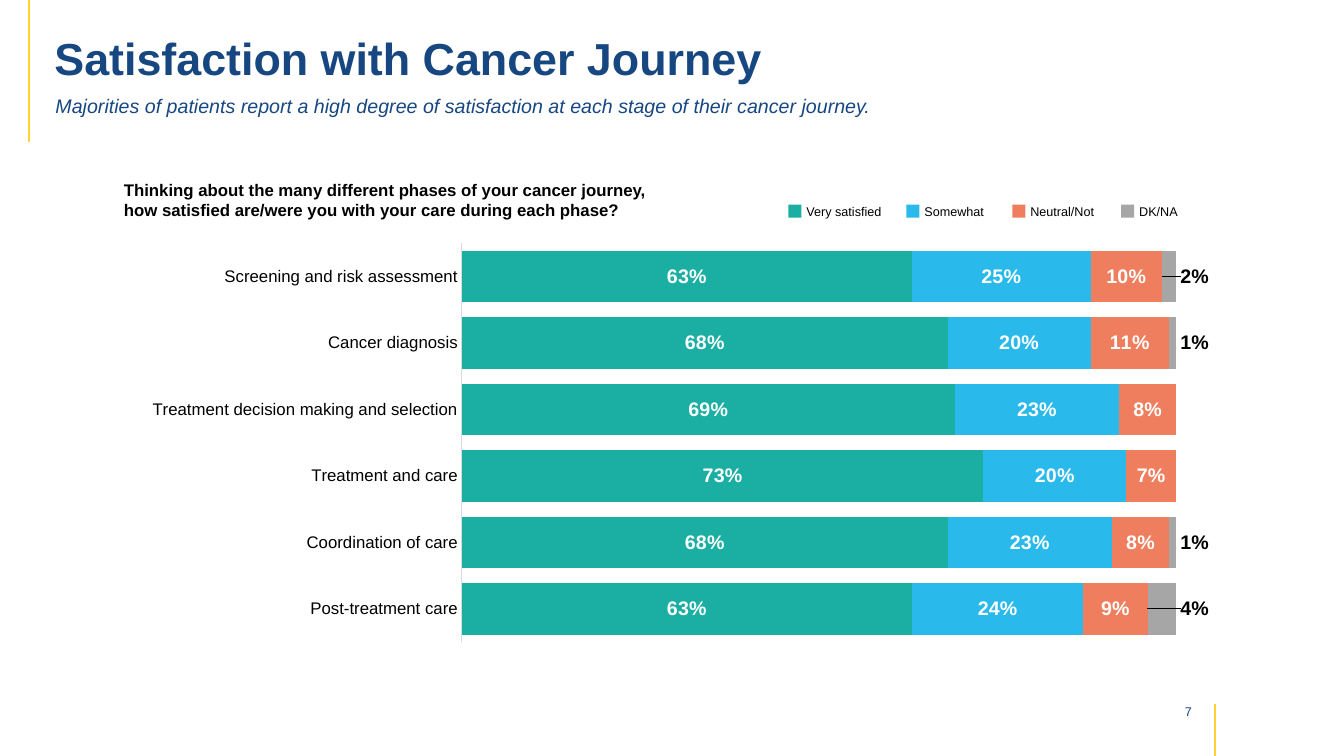
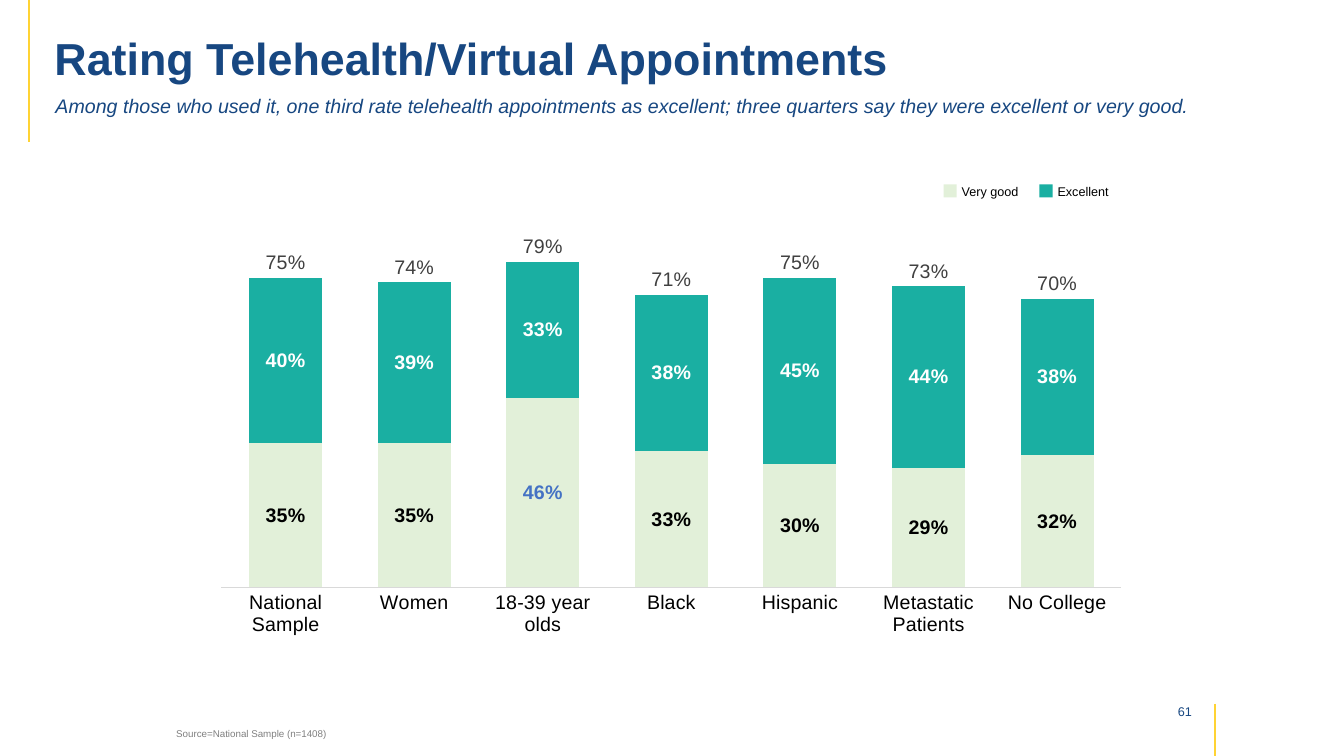
from lxml import etree
from pptx import Presentation
from pptx import util as u
from pptx.chart.data import CategoryChartData
from pptx.dml.color import RGBColor
from pptx.enum import chart as ch, shapes, text
from pptx.oxml.ns import qn

FONT = "Arial"
NAVY, YELLOW, BLACK, WHITE = "174781", "FFD334", "000000", "FFFFFF"
TEAL, SKY, CORAL, GREY, MINT = "1AAFA2", "29B9EB", "EE7E5E", "A6A6A6", "E2F0D9"
AXIS, DARK, SOURCE, BLUE = "D9D9D9", "404040", "808080", "4472C4"
INSIDE_BASE = ch.XL_LABEL_POSITION.INSIDE_BASE
CENTER = ch.XL_LABEL_POSITION.CENTER


def rgb(value):
    return RGBColor.from_string(value)


def style(font, size, color=BLACK, bold=False, italic=False):
    font.name, font.size = FONT, u.Pt(size)
    font.bold, font.italic = bold, italic
    font.color.rgb = rgb(color)


def write(tf, content, size, align=text.PP_ALIGN.LEFT, anchor=text.MSO_ANCHOR.TOP,
          before=0, spacing=1.0, **fmt):
    tf.word_wrap = True
    tf.auto_size = text.MSO_AUTO_SIZE.NONE
    tf.vertical_anchor = anchor
    p = tf.paragraphs[0]
    p.alignment, p.space_before, p.line_spacing = align, u.Pt(before), spacing
    r = p.add_run()
    r.text = content
    style(r.font, size, **fmt)
    return p


def add_layout(parent, index, **values):
    """Insert a manual chart layout; the values are fractions of the chart."""
    for old in parent.findall(qn("c:layout")):
        parent.remove(old)
    layout = etree.Element(qn("c:layout"))
    manual = etree.SubElement(layout, qn("c:manualLayout"))
    for tag, val in values.items():
        etree.SubElement(manual, qn("c:" + tag)).set("val", str(val))
    parent.insert(index, layout)


class Deck:
    def __init__(self):
        self.prs = Presentation()
        self.prs.slide_width, self.prs.slide_height = u.Inches(13.33), u.Inches(7.5)
        self.s = None

    def slide(self, title, subtitle, number):
        self.s = self.prs.slides.add_slide(self.prs.slide_layouts[1])
        # Yellow rules and page number
        self.rule(0.29, 0, 1.41)
        self.rule(12.05, 6.98, 7.5)
        self.label(11.33, 6.93, 0.59, 0.25, number, 9, color=NAVY,
                   align=text.PP_ALIGN.RIGHT)
        # Title and subtitle
        head, body = self.s.shapes.title, self.s.placeholders[1]
        self.place(head, 0.44, 0.23, 12.39, 0.76)
        write(head.text_frame, title, 32, color=NAVY, bold=True, spacing=0.9,
              anchor=text.MSO_ANCHOR.MIDDLE)
        self.place(body, 0.45, 0.88, 12.35, 0.5)
        p = write(body.text_frame, subtitle, 14, color=NAVY, italic=True, before=10)
        pPr = p._p.get_or_add_pPr()
        pPr.set("marL", "0")
        pPr.set("indent", "0")
        etree.SubElement(pPr, qn("a:buNone"))

    def place(self, sp, x, y, w, h):
        sp.left, sp.top, sp.width, sp.height = map(u.Inches, (x, y, w, h))

    def rule(self, x, top, bottom):
        line = self.s.shapes.add_connector(
            shapes.MSO_CONNECTOR.STRAIGHT, *map(u.Inches, (x, top, x, bottom)))
        line.line.color.rgb, line.line.width = rgb(YELLOW), u.Pt(1.5)
        etree.SubElement(line._element.spPr, qn("a:effectLst"))

    def label(self, x, y, w, h, content, size, **fmt):
        sp = self.s.shapes.add_textbox(*map(u.Inches, (x, y, w, h)))
        write(sp.text_frame, content, size, **fmt)

    def legend(self, y, entries):
        for x, name, color in entries:
            sp = self.s.shapes.add_shape(
                shapes.MSO_SHAPE.RECTANGLE, *map(u.Inches, (x, y, 0.13, 0.13)))
            sp.shadow.inherit = False
            sp.fill.solid()
            sp.fill.fore_color.rgb = rgb(color)
            sp.line.fill.background()
            self.label(x + 0.08, y - 0.06, 1.05, 0.25, name, 9)

    def chart(self, kind, box, plot_box, cats, series, gap, cat_size):
        """Stacked bars; series rows are (fill, label colour, bold, position, values)."""
        data = CategoryChartData(number_format="0%")
        data.categories = cats
        for i, row in enumerate(series, 1):
            data.add_series(f"Series {i}", row[-1])
        chart = self.s.shapes.add_chart(kind, *map(u.Inches, box), data).chart
        chart.has_legend = chart.has_title = False
        style(chart.font, cat_size)
        # Axes
        cat, val = chart.category_axis, chart.value_axis
        cat.major_tick_mark = ch.XL_TICK_MARK.NONE
        cat.has_major_gridlines = val.has_major_gridlines = False
        cat.format.line.color.rgb, cat.format.line.width = rgb(AXIS), u.Pt(0.75)
        style(cat.tick_labels.font, cat_size)
        val.minimum_scale, val.maximum_scale, val.visible = 0, 1, False
        # Bars and labels
        plot = chart.plots[0]
        plot.gap_width, plot.overlap, plot.vary_by_categories = gap, 100, False
        for ser, (fill, color, bold, position, _) in zip(plot.series, series):
            if fill:
                ser.format.fill.solid()
                ser.format.fill.fore_color.rgb = rgb(fill)
            else:
                ser.format.fill.background()
            labels = ser.data_labels
            labels.show_value, labels.position = True, position
            labels.number_format, labels.number_format_is_linked = "0%", False
            style(labels.font, 14, color, bold)
        x, y, w, h = plot_box
        add_layout(chart._chartSpace.chart.plotArea, 0, layoutTarget="inner",
                   xMode="edge", yMode="edge", x=x, y=y, w=w, h=h)
        return chart

    def point_label(self, ser, i, color, position, shift=None):
        label = ser.points[i].data_label
        style(label.font, 14, color, True)
        label.position = position
        if shift is not None:
            dLbl = ser._element.xpath(f"c:dLbls/c:dLbl[c:idx/@val='{i}']")[0]
            add_layout(dLbl, 1, x=shift, y=0)


def satisfaction(deck):
    deck.slide("Satisfaction with Cancer Journey",
               "Majorities of patients report a high degree of satisfaction at each "
               "stage of their cancer journey.", "7")
    unknown = [0.02, 0.01, None, None, 0.01, 0.04]
    plot_width = 0.6
    chart = deck.chart(
        ch.XL_CHART_TYPE.BAR_STACKED, (0.33, 1.91, 11.81, 4.6),
        (0.36, 0.11, plot_width, 0.86),
        ["Screening and risk assessment", "Cancer diagnosis",
         "Treatment decision making and selection", "Treatment and care",
         "Coordination of care", "Post-treatment care"],
        [(TEAL, WHITE, True, CENTER, [0.63, 0.68, 0.69, 0.73, 0.68, 0.63]),
         (SKY, WHITE, True, CENTER, [0.25, 0.2, 0.23, 0.2, 0.23, 0.24]),
         (CORAL, WHITE, True, CENTER, [0.1, 0.11, 0.08, 0.07, 0.08, 0.09]),
         (GREY, BLACK, True, INSIDE_BASE, unknown)],
        gap=29, cat_size=12)
    chart.category_axis.reverse_order = True
    # Move the last labels just past the end of their bars
    for i, value in enumerate(unknown):
        if value:
            deck.point_label(chart.plots[0].series[3], i, BLACK, INSIDE_BASE,
                             shift=value * plot_width)
    deck.label(1.13, 1.73, 5.68, 0.5,
               "Thinking about the many different phases of your cancer journey, "
               "how satisfied are/were you with your care during each phase?",
               12, bold=True)
    deck.legend(2.03, [(7.82, "Very satisfied", TEAL), (8.99, "Somewhat", SKY),
                       (10.04, "Neutral/Not", CORAL), (11.12, "DK/NA", GREY)])


def telehealth(deck):
    deck.slide("Rating Telehealth/Virtual Appointments",
               "Among those who used it, one third rate telehealth appointments as "
               "excellent; three quarters say they were excellent or very good.", "61")
    deck.label(1.65, 7.17, 2, 0.22, "Source=National Sample (n=1408)", 7, color=SOURCE)
    # The unfilled third series carries the totals
    chart = deck.chart(
        ch.XL_CHART_TYPE.COLUMN_STACKED, (2.01, 1.64, 9.3, 4.76),
        (0.02, 0.02, 0.96, 0.86),
        ["National Sample", "Women", "18-39 year olds", "Black", "Hispanic",
         "Metastatic Patients", "No College"],
        [(MINT, BLACK, True, CENTER, [0.35, 0.35, 0.46, 0.33, 0.3, 0.29, 0.32]),
         (TEAL, WHITE, True, CENTER, [0.4, 0.39, 0.33, 0.38, 0.45, 0.44, 0.38]),
         (None, DARK, False, INSIDE_BASE, [0.75, 0.74, 0.79, 0.71, 0.75, 0.73, 0.7])],
        gap=76, cat_size=14)
    deck.point_label(chart.plots[0].series[0], 2, BLUE, CENTER)
    deck.legend(1.83, [(9.36, "Very good", MINT), (10.31, "Excellent", TEAL)])


def main():
    deck = Deck()
    satisfaction(deck)
    telehealth(deck)
    deck.prs.save("out.pptx")


if __name__ == "__main__":
    main()
